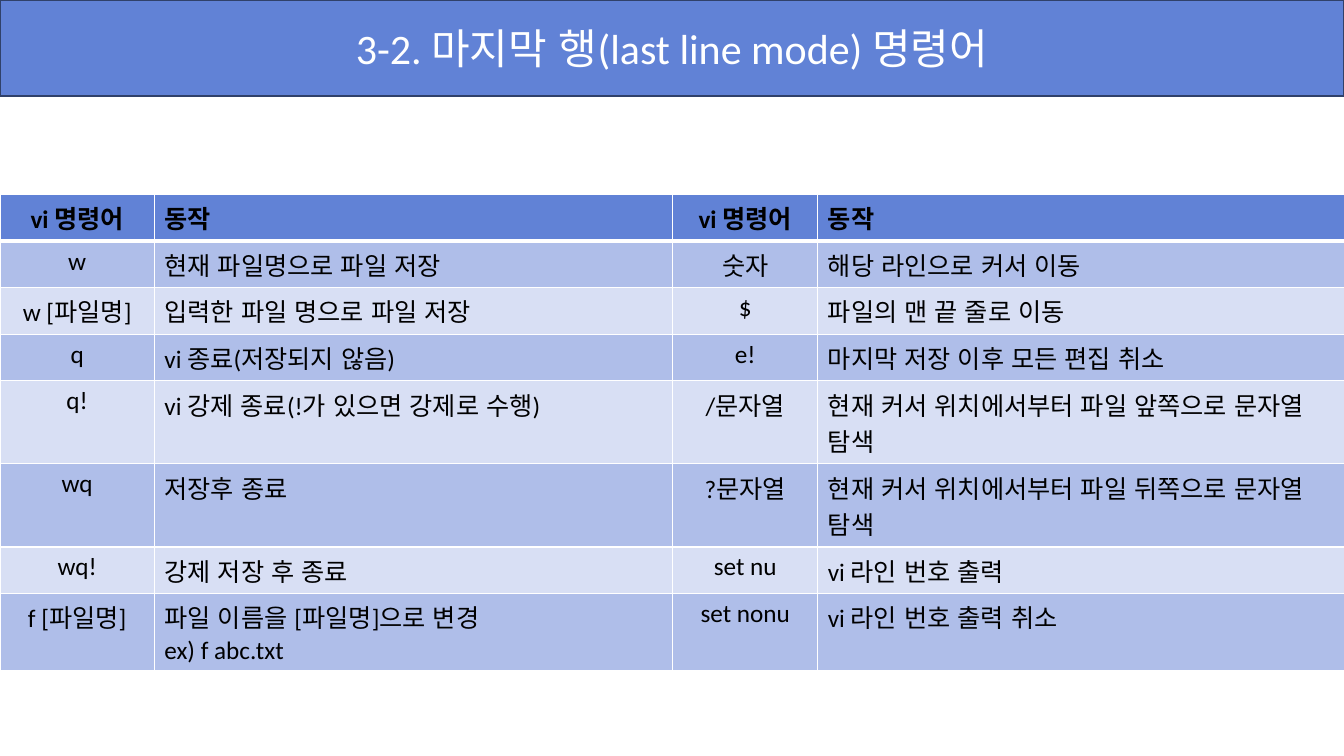
from dataclasses import dataclass

from lxml.etree import SubElement
from pptx import Presentation
from pptx.dml.color import RGBColor
from pptx.enum.lang import MSO_LANGUAGE_ID
from pptx.enum.text import MSO_ANCHOR, MSO_AUTO_SIZE, PP_ALIGN
from pptx.oxml.ns import qn
from pptx.slide import Slide
from pptx.table import _Cell
from pptx.text.text import _Paragraph
from pptx.util import Cm, Pt


@dataclass(frozen=True)
class Theme:
    font: str = "Calibri"
    title_size: int = 30
    cell_size: int = 18
    header: str = "6182D6"
    outline: str = "30416A"
    bands: tuple[str, str] = ("AFBEE9", "D8DFF4")
    light: str = "FFFFFF"
    dark: str = "000000"


@dataclass(frozen=True)
class Command:
    name: str
    action: str


THEME = Theme()
SLIDE_W, SLIDE_H = Cm(33.87), Cm(19.05)
TITLE_H = Cm(2.41)
TABLE_TOP, TABLE_H, ROW_H = Cm(4.9), Cm(10.46), Cm(0.51)
COLUMN_WIDTHS = (Cm(3.89), Cm(13.06), Cm(3.66), Cm(13.28))
TITLE = "3-2. 마지막 행(last line mode) 명령어"
HEADING = Command("vi 명령어", "동작")
FILE_COMMANDS = [
    HEADING,
    Command("w", "현재 파일명으로 파일 저장"),
    Command("w [파일명]", "입력한 파일 명으로 파일 저장"),
    Command("q", "vi 종료(저장되지 않음)"),
    Command("q!", "vi 강제 종료(!가 있으면 강제로 수행)"),
    Command("wq", "저장후 종료"),
    Command("wq!", "강제 저장 후 종료"),
    Command("f [파일명]", "파일 이름을 [파일명]으로 변경\nex) f abc.txt"),
]
LINE_COMMANDS = [
    HEADING,
    Command("숫자", "해당 라인으로 커서 이동"),
    Command("$", "파일의 맨 끝 줄로 이동"),
    Command("e!", "마지막 저장 이후 모든 편집 취소"),
    Command("/문자열", "현재 커서 위치에서부터 파일 앞쪽으로 문자열 탐색"),
    Command("?문자열", "현재 커서 위치에서부터 파일 뒤쪽으로 문자열 탐색"),
    Command("set nu", "vi 라인 번호 출력"),
    Command("set nonu", "vi 라인 번호 출력 취소"),
]


def rgb(value: str) -> RGBColor:
    return RGBColor.from_string(value)


def add_run(p: _Paragraph, text: str, size: int, color: str, bold: bool = False) -> None:
    r = p.add_run()
    r.text = text
    r.font.name = THEME.font
    r.font.size = Pt(size)
    r.font.bold = bold
    r.font.color.rgb = rgb(color)
    r.font.language_id = MSO_LANGUAGE_ID.KOREAN


def add_title(s: Slide) -> None:
    sp = s.shapes.title
    sp.left, sp.top, sp.width, sp.height = 0, 0, SLIDE_W, TITLE_H
    sp.fill.solid()
    sp.fill.fore_color.rgb = rgb(THEME.header)
    sp.line.color.rgb = rgb(THEME.outline)
    sp.line.width = Pt(1.5)
    tf = sp.text_frame
    tf.auto_size = MSO_AUTO_SIZE.NONE
    tf.vertical_anchor = MSO_ANCHOR.MIDDLE
    p = tf.paragraphs[0]
    p.alignment = PP_ALIGN.CENTER
    add_run(p, TITLE, THEME.title_size, THEME.light)


def set_borders(cell: _Cell, row: int) -> None:
    tc_pr = cell._tc.get_or_add_tcPr()
    top = 3 if row == 1 else 1
    bottom = 3 if row == 0 else 1
    for tag, width in (("lnL", 1), ("lnR", 1), ("lnT", top), ("lnB", bottom)):
        ln = SubElement(tc_pr, qn(f"a:{tag}"), w=str(Pt(width)))
        fill = SubElement(ln, qn("a:solidFill"))
        SubElement(fill, qn("a:srgbClr"), val=THEME.light)


def fill_cell(cell: _Cell, text: str, row: int, centered: bool) -> None:
    set_borders(cell, row)
    cell.fill.solid()
    cell.fill.fore_color.rgb = rgb(THEME.bands[(row - 1) % 2] if row else THEME.header)
    tf = cell.text_frame
    for i, line in enumerate(text.split("\n")):
        p = tf.add_paragraph() if i else tf.paragraphs[0]
        p.alignment = PP_ALIGN.CENTER if centered else PP_ALIGN.LEFT
        add_run(p, line, THEME.cell_size, THEME.dark, bold=row == 0)


def add_command_table(s: Slide) -> None:
    frame = s.shapes.add_table(
        len(FILE_COMMANDS), len(COLUMN_WIDTHS), 0, TABLE_TOP, sum(COLUMN_WIDTHS), TABLE_H
    )
    table = frame.table
    for column, width in zip(table.columns, COLUMN_WIDTHS):
        column.width = width
    for row, (left, right) in enumerate(zip(FILE_COMMANDS, LINE_COMMANDS)):
        table.rows[row].height = ROW_H
        for col, text in enumerate((left.name, left.action, right.name, right.action)):
            fill_cell(table.cell(row, col), text, row, centered=col % 2 == 0)
    frame.height = TABLE_H


def main() -> None:
    """Build the slide of vi last line mode commands."""
    prs = Presentation()
    prs.slide_width, prs.slide_height = SLIDE_W, SLIDE_H
    s = prs.slides.add_slide(prs.slide_layouts[5])
    add_title(s)
    add_command_table(s)
    prs.save("out.pptx")


if __name__ == "__main__":
    main()
